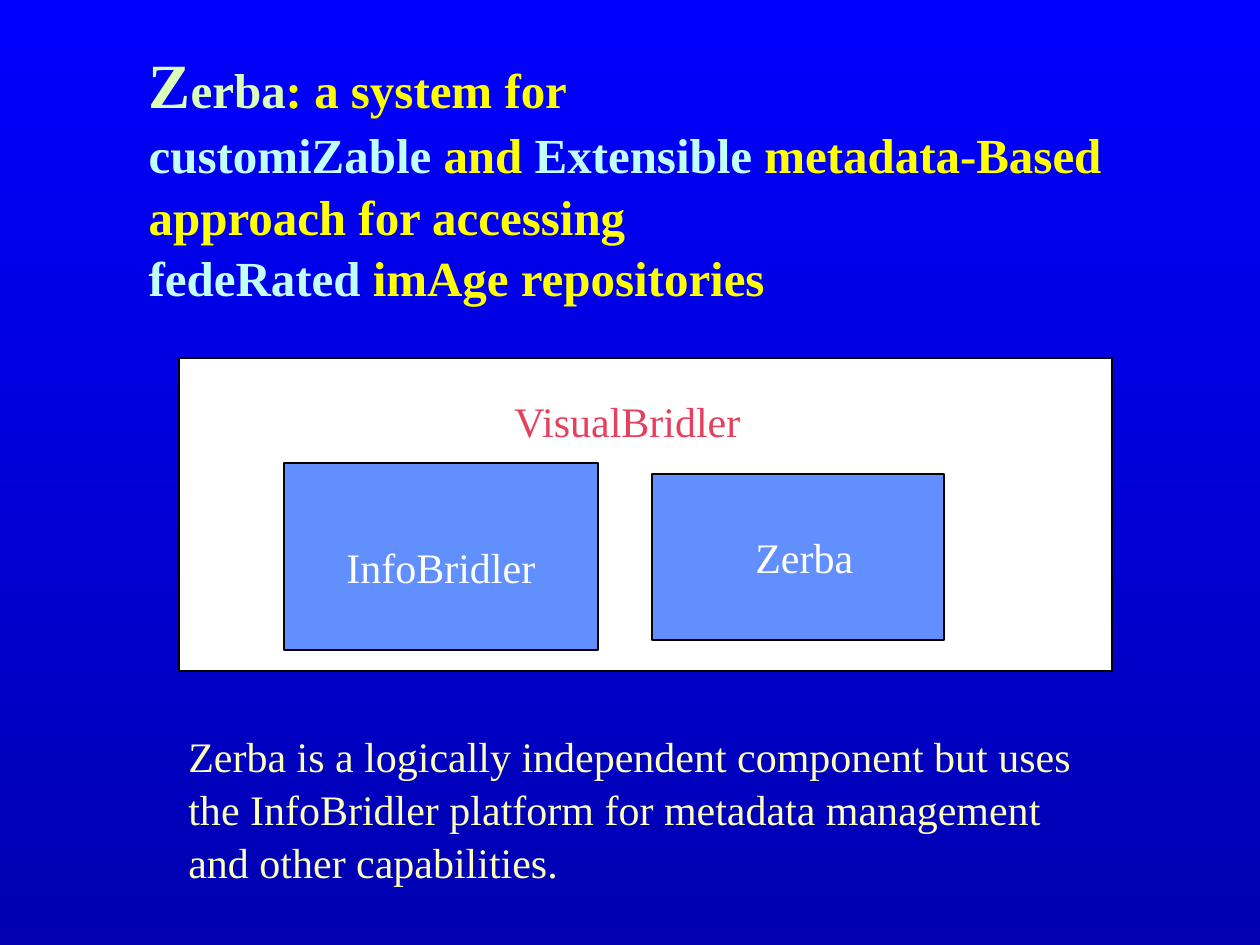
import pptx
import pptx.dml.color
import pptx.enum.text
import pptx.util

PX = 914400 / 126
FONT = "Times New Roman"
COLORS = {
    "sky": "0000FF",
    "deep": "0000B1",
    "yellow": "FFFF00",
    "green": "DBFFB8",
    "cyan": "C0FEF9",
    "cream": "FCFEB9",
    "red": "E5405D",
    "blue": "618FFD",
    "white": "FFFFFF",
    "black": "000000",
}


def rgb(name):
    return pptx.dml.color.RGBColor.from_string(COLORS[name])


def add_text(shapes, box, lines, color):
    """Add an unwrapped 24 pt text box with one paragraph per line."""
    label = shapes.add_textbox(*[round(n * PX) for n in box])
    label.text_frame.word_wrap = False
    label.text_frame.text = "\n".join(lines)
    for paragraph in label.text_frame.paragraphs:
        paragraph.line_spacing = 1.05
        font = paragraph.runs[0].font
        font.name = FONT
        font.size = pptx.util.Pt(24)
        font.color.rgb = rgb(color)


prs = pptx.Presentation()
prs.slide_width = round(1260 * PX)
prs.slide_height = round(945 * PX)
slide = prs.slides.add_slide(prs.slide_layouts[5])

background = slide.background.fill
background.gradient()
background.gradient_angle = 270
for stop, color in zip(background.gradient_stops, ("sky", "deep")):
    stop.color.rgb = rgb(color)
    stop.position = 0 if color == "sky" else 1

# Title: one paragraph, broken into lines of coloured runs
title = slide.shapes.title
title.left, title.top, title.width, title.height = [
    round(n * PX) for n in (136, 42, 992, 265)]
title.text_frame.word_wrap = True
title.text_frame.auto_size = pptx.enum.text.MSO_AUTO_SIZE.NONE
title.text_frame.vertical_anchor = pptx.enum.text.MSO_ANCHOR.MIDDLE
heading = title.text_frame.paragraphs[0]
heading.alignment = pptx.enum.text.PP_ALIGN.LEFT
heading.line_spacing = 1.05

title_lines = [
    [("Z", "green", 36), ("erba", "green", 28), (": a system for ", "yellow", 28)],
    [("customiZable", "cyan", 28), (" and ", "yellow", 28),
     ("Extensible", "cyan", 28), (" metadata-Based ", "yellow", 28)],
    [("approach for accessing", "yellow", 28)],
    [("fedeRated", "cyan", 28), (" imAge repositories", "yellow", 28)],
]
for number, title_line in enumerate(title_lines):
    if number:
        heading.add_line_break()
    for words, color, size in title_line:
        run = heading.add_run()
        run.text = words
        run.font.name = FONT
        run.font.size = pptx.util.Pt(size)
        run.font.bold = True
        run.font.color.rgb = rgb(color)

# Architecture diagram: a platform holding two components
diagram = slide.shapes.add_group_shape().shapes
blocks = [
    ((179, 358, 933, 313), "white"),
    ((284, 463, 314, 187), "blue"),
    ((652, 474, 292, 166), "blue"),
]
for box, color in blocks:
    block = diagram.add_shape(
        pptx.enum.shapes.MSO_SHAPE.RECTANGLE, *[round(n * PX) for n in box])
    block.shadow.inherit = False
    block.fill.solid()
    block.fill.fore_color.rgb = rgb(color)
    block.line.color.rgb = rgb("black")
    block.line.width = pptx.util.Pt(1)

add_text(diagram, (334, 533, 231, 63), ["InfoBridler"], "white")
add_text(diagram, (743, 523, 123, 63), ["Zerba"], "white")
add_text(diagram, (502, 387, 271, 63), ["VisualBridler"], "red")

add_text(slide.shapes, (176, 722, 919, 164), [
    "Zerba is a logically independent component but uses",
    "the InfoBridler platform for metadata management",
    "and other capabilities.",
], "cream")

prs.save("out.pptx")
